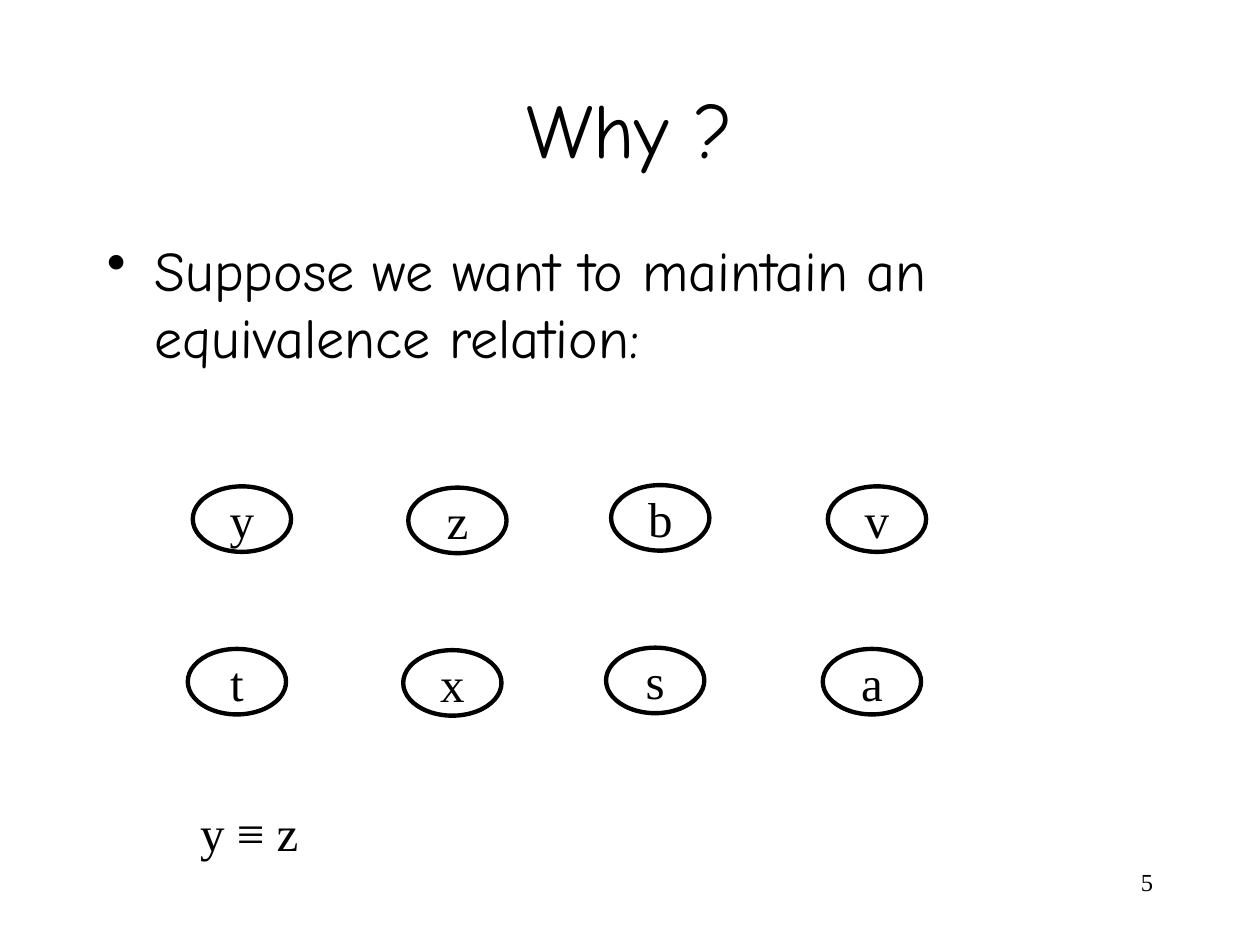
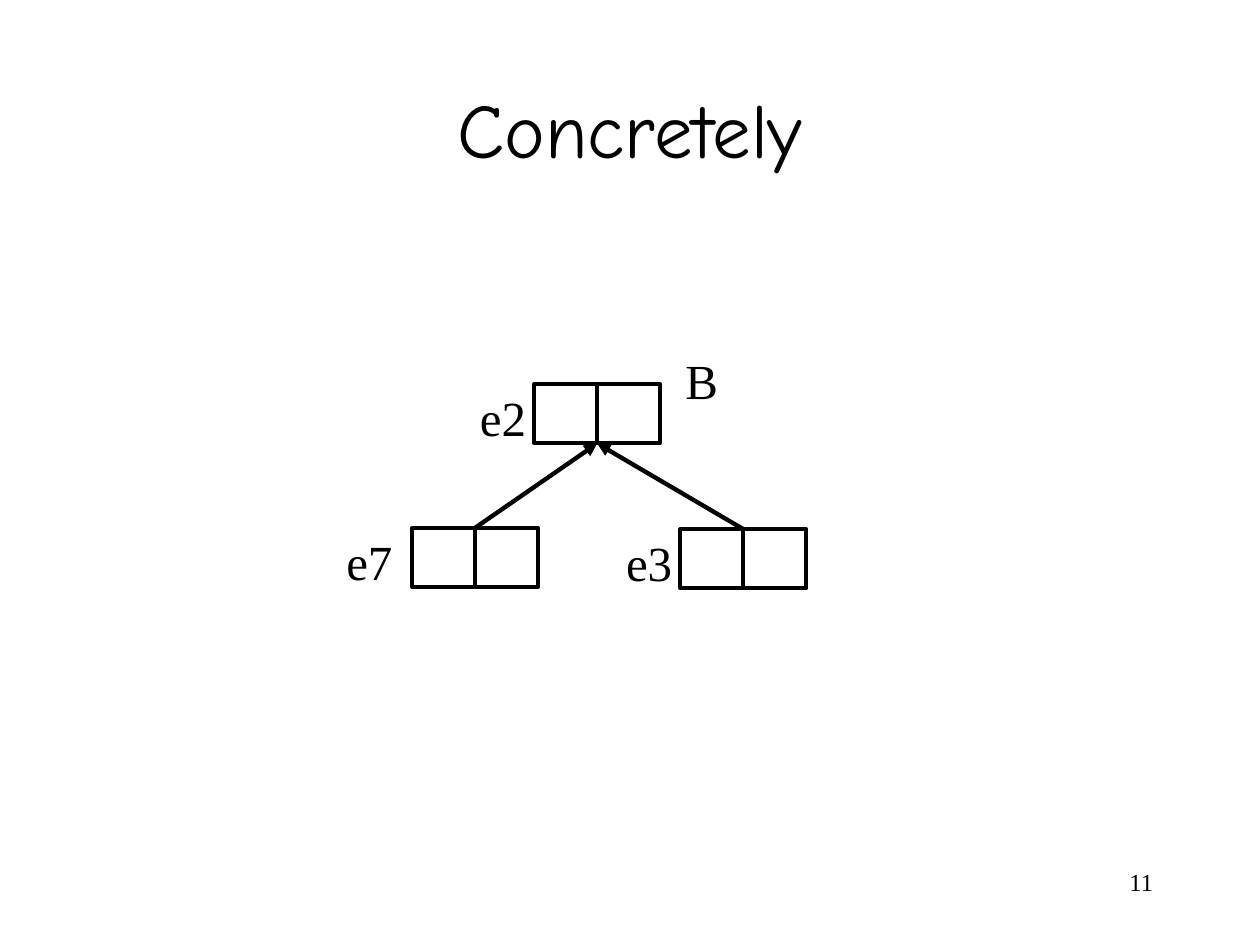
from dataclasses import dataclass

from lxml.etree import SubElement
from pptx import Presentation
from pptx.dml.color import RGBColor
from pptx.enum.shapes import MSO_CONNECTOR as Link, MSO_SHAPE as Shape
from pptx.enum.text import MSO_ANCHOR as Anchor, PP_ALIGN as Align
from pptx.oxml.ns import qn
from pptx.util import Inches, Pt


@dataclass(frozen=True)
class Theme:
    ink: RGBColor = RGBColor(0, 0, 0)
    head: str = "Comic Neue"
    text: str = "Times New Roman"
    title: float = 44
    body: float = 32
    label: float = 28
    foot: float = 14
    thin: float = 2.25
    thick: float = 2.5


THEME = Theme()
COLS, ROWS = 100, 75
CELL = Inches(10) // COLS
TOP, BOTTOM = 0, 2  # connection sites of a rectangle


def cells(*sizes):
    """Turn grid columns and rows into lengths."""
    return [round(size * CELL) for size in sizes]


def write(frame, text, size, font=THEME.text, align=Align.LEFT, before=0):
    par = frame.paragraphs[0]
    par.alignment = align
    par.space_before = Pt(before)
    run = par.add_run()
    run.text = text
    run.font.size = Pt(size)
    run.font.name = font
    run.font.color.rgb = THEME.ink
    return par


def add_text(slide, area, text, size, anchor=Anchor.TOP, **style):
    frame = slide.shapes.add_textbox(*cells(*area)).text_frame
    frame.word_wrap = True
    frame.vertical_anchor = anchor
    return write(frame, text, size, **style)


def add_label(slide, left, top, width, text):
    add_text(slide, (left, top, width, 5.7), text, THEME.label, before=17.5)


def add_bullet(slide, area, text):
    par = add_text(slide, area, text, THEME.body, font=THEME.head, before=8)
    props = par._p.get_or_add_pPr()
    hang = Inches(0.38)
    props.set("marL", str(hang))
    props.set("indent", str(-hang))
    SubElement(props, qn("a:buChar")).set("char", "•")


def add_outline(slide, kind, area, weight):
    shape = slide.shapes.add_shape(kind, *cells(*area))
    shape.shadow.inherit = False
    shape.fill.background()
    shape.line.color.rgb = THEME.ink
    shape.line.width = Pt(weight)
    return shape


def add_oval(slide, left, top, text):
    frame = add_outline(slide, Shape.OVAL, (left, top, 7.8, 5.2),
                        THEME.thick).text_frame
    frame.word_wrap = False
    frame.vertical_anchor = Anchor.MIDDLE
    write(frame, text, THEME.label, align=Align.CENTER)


def add_link(slide, start, end, weight):
    """Join two (shape, site) pairs with a line."""
    line = slide.shapes.add_connector(Link.STRAIGHT, 0, 0, 0, 0)
    line.begin_connect(*start)
    line.end_connect(*end)
    line.line.color.rgb = THEME.ink
    line.line.width = Pt(weight)
    SubElement(line._element.spPr, qn("a:effectLst"))
    return line


def add_arrow(slide, child, root):
    line = add_link(slide, (child, TOP), (root, BOTTOM), THEME.thick)
    SubElement(line.line._get_or_add_ln(), qn("a:tailEnd")).set("type", "triangle")


def add_node(slide, left, top, name, gap, width):
    """Draw a two-part box with its name to the left."""
    add_label(slide, left - gap, top - 0.2, width, name)
    box = add_outline(slide, Shape.RECTANGLE, (left, top, 10, 4.7), THEME.thin)
    add_link(slide, (box, TOP), (box, BOTTOM), THEME.thin)
    return box


def add_page(deck, title, number):
    slide = deck.slides.add_slide(deck.slide_layouts[6])
    add_text(slide, (7.5, 3.9, 85, 12.5), title, THEME.title,
             anchor=Anchor.MIDDLE, font=THEME.head, align=Align.CENTER)
    add_text(slide, (71.7, 68.3, 20.8, 5), str(number), THEME.foot,
             align=Align.RIGHT)
    return slide


def draw_why(deck):
    slide = add_page(deck, "Why ?", 5)
    add_bullet(slide, (7.5, 18.2, 85, 45),
               "Suppose we want to maintain an equivalence relation:")
    spots = (15.3, 38.6), (32.4, 38.7), (48.5, 38.5), (65.7, 38.6)
    for row, names in enumerate(("yzbv", "txsa")):
        for (left, top), name in zip(spots, names):
            add_oval(slide, left - 0.4 * row, top + 12.9 * row, name)
    add_label(slide, 14.9, 63.2, 17.5, "y ≡ z")


def draw_tree(deck):
    slide = add_page(deck, "Concretely", 11)
    root = add_node(slide, 42.4, 30.5, "e2", 5.3, 7.2)
    leaves = [add_node(slide, 32.7, 41.9, "e7", 6.2, 8.6),
              add_node(slide, 54, 42, "e3", 5.3, 7.2)]
    for leaf in leaves:
        add_arrow(slide, leaf, root)
    add_label(slide, 53.4, 27.3, 7.2, "B")


def main():
    deck = Presentation()
    deck.slide_width, deck.slide_height = cells(COLS, ROWS)
    draw_why(deck)
    draw_tree(deck)
    deck.save("out.pptx")


if __name__ == "__main__":
    main()
